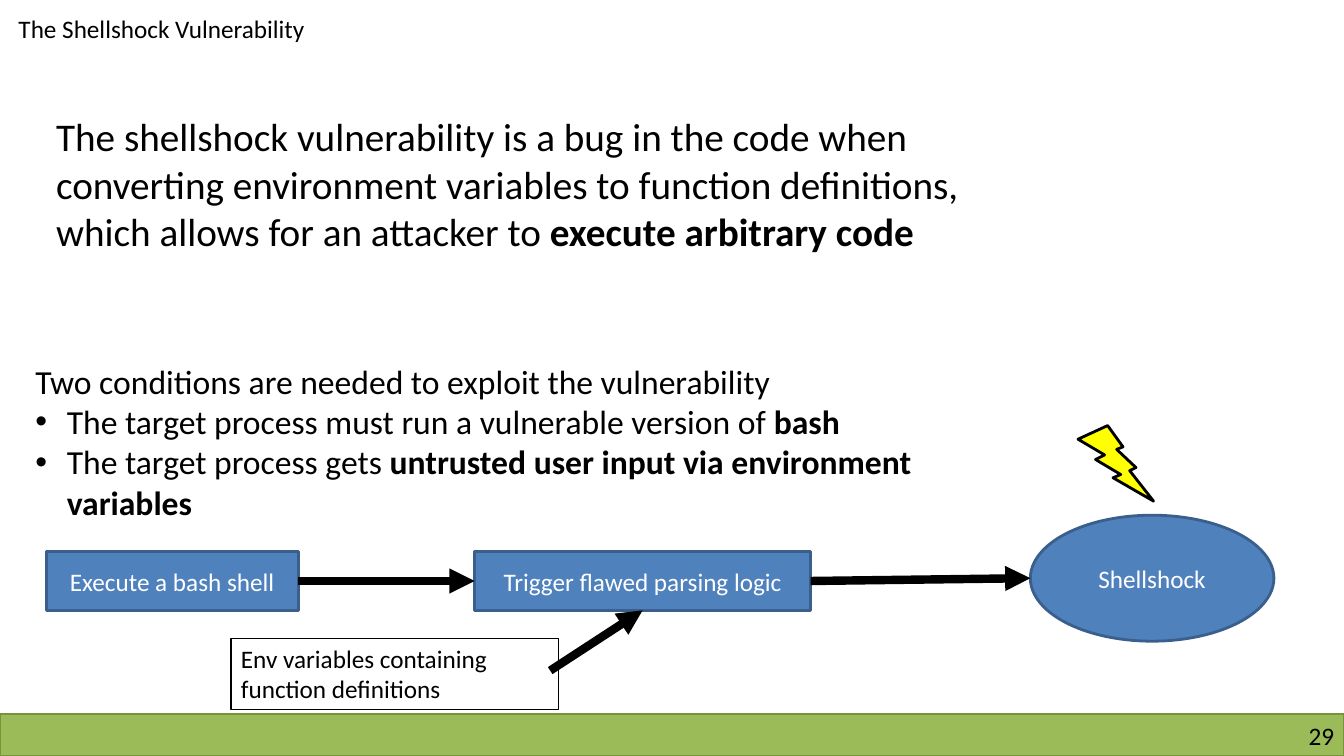
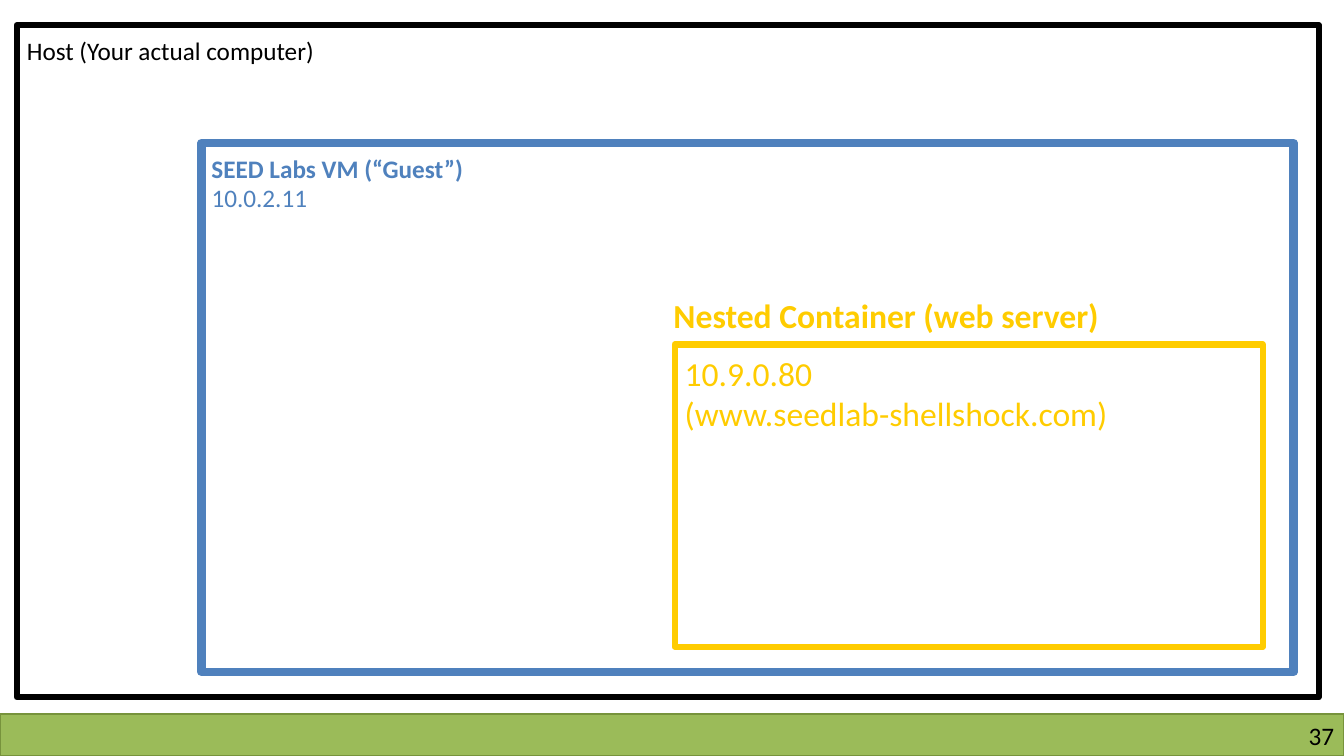
from lxml import etree
from pptx import Presentation
from pptx.dml.color import RGBColor
from pptx.enum import shapes, text
from pptx.oxml import ns
from pptx.util import Pt


class Theme:
    font = "Calibri"
    small, medium, large = 18, 24, 28
    black = RGBColor(0x00, 0x00, 0x00)
    white = RGBColor(0xFF, 0xFF, 0xFF)
    blue = RGBColor(0x4F, 0x81, 0xBD)
    blue_edge = RGBColor(0x3A, 0x5F, 0x8C)
    green = RGBColor(0x9B, 0xBB, 0x59)
    green_edge = RGBColor(0x77, 0x93, 0x3C)
    gold = RGBColor(0xFF, 0xCC, 0x00)
    yellow = RGBColor(0xFF, 0xFF, 0x00)


def write(holder, paragraphs, size=Theme.small, color=Theme.black,
          align=text.PP_ALIGN.LEFT, anchor=text.MSO_ANCHOR.TOP):
    """Fill a shape with paragraphs, each a list of (words, bold) runs."""
    frame = holder.text_frame
    frame.word_wrap = True
    frame.auto_size = text.MSO_AUTO_SIZE.NONE
    frame.vertical_anchor = anchor
    for number, runs in enumerate(paragraphs):
        paragraph = frame.add_paragraph() if number else frame.paragraphs[0]
        paragraph.alignment = align
        paragraph.space_before = Pt(0)
        for words, bold in runs:
            run = paragraph.add_run()
            run.text = words
            run.font.name = Theme.font
            run.font.size = Pt(size)
            run.font.bold = bold
            run.font.color.rgb = color
    return frame


def draw(slide, preset, box, fill, edge, weight):
    shape = slide.shapes.add_shape(preset, *map(Pt, box))
    shape.shadow.inherit = False
    if fill is None:
        shape.fill.background()
    else:
        shape.fill.solid()
        shape.fill.fore_color.rgb = fill
    shape.line.color.rgb = edge
    shape.line.width = Pt(weight)
    return shape


RECTANGLE = shapes.MSO_SHAPE.RECTANGLE
prs = Presentation()
prs.slide_width, prs.slide_height = Pt(960), Pt(540)
bug_slide = prs.slides.add_slide(prs.slide_layouts[1])
lab_slide = prs.slides.add_slide(prs.slide_layouts[5])

# The footer band belongs to the master
band = draw(bug_slide, RECTANGLE, (0, 510, 960, 30), Theme.green, Theme.green_edge, 1)
band.element.nvSpPr.cNvPr.set("id", "100")
prs.slide_master.element.cSld.spTree.append(band.element)

# Titles and page numbers
for slide, heading, title_box, page in (
    (bug_slide, "The Shellshock Vulnerability", (6, 6, 243, 29), "29"),
    (lab_slide, "Host (Your actual computer)", (12, 21.5, 242, 29), "37"),
):
    title = slide.shapes.title
    title.left, title.top, title.width, title.height = map(Pt, title_box)
    write(title, [[(heading, False)]])
    page_number = slide.shapes.add_textbox(Pt(732), Pt(514.5), Pt(221), Pt(22))
    frame = write(page_number, [[(page, False)]], align=text.PP_ALIGN.RIGHT)
    frame.margin_left = frame.margin_right = frame.margin_top = frame.margin_bottom = 0

# Slide 1: definition and conditions
definition = bug_slide.shapes.add_textbox(Pt(33), Pt(77), Pt(678), Pt(143))
write(definition, [[
    ("The shellshock vulnerability is a bug in the code when converting environment "
     "variables to function definitions, which allows for an attacker to ", False),
    ("execute arbitrary code", True),
]], Theme.large)

conditions = bug_slide.placeholders[1]
conditions.left, conditions.top, conditions.width, conditions.height = map(Pt, (18, 254, 690, 124))
frame = write(conditions, [
    [("Two conditions are needed to exploit the vulnerability", False)],
    [("The target process must run a vulnerable version of ", False), ("bash", True)],
    [("The target process gets ", False),
     ("untrusted user input via environment variables", True)],
], Theme.medium)
for number, paragraph in enumerate(frame.paragraphs):
    properties = paragraph._p.get_or_add_pPr()
    indent = Pt(22.5) if number else 0
    properties.set("marL", str(indent))
    properties.set("indent", str(-indent))
    bullet = etree.SubElement(properties, ns.qn("a:buChar" if number else "a:buNone"))
    if number:
        bullet.set("char", "•")

# Slide 1: attack flow
steps = []
for preset, box, label in (
    (RECTANGLE, (33, 394, 180, 42), "Execute a bash shell"),
    (RECTANGLE, (339, 394, 240, 42), "Trigger flawed parsing logic"),
    (shapes.MSO_SHAPE.OVAL, (736, 368, 174, 90), "Shellshock"),
):
    step = draw(bug_slide, preset, box, Theme.blue, Theme.blue_edge, 2)
    write(step, [[(label, False)]], color=Theme.white,
          align=text.PP_ALIGN.CENTER, anchor=text.MSO_ANCHOR.MIDDLE)
    steps.append(step)
execute, trigger, shellshock = steps

draw(bug_slide, shapes.MSO_SHAPE.LIGHTNING_BOLT, (770, 304, 54, 54),
     Theme.yellow, Theme.black, 2)
variables = draw(bug_slide, RECTANGLE, (165, 456, 234, 51), None, Theme.black, 0.75)
write(variables, [[("Env variables containing function definitions", False)]])

for ends, source, target, target_side in (
    ((213, 415, 339, 415), execute, trigger, 1),
    ((579, 415, 736, 413), trigger, None, None),
    ((393, 479, 459, 436), None, trigger, 2),
):
    arrow = bug_slide.shapes.add_connector(shapes.MSO_CONNECTOR.STRAIGHT, *map(Pt, ends))
    if source:
        arrow.begin_connect(source, 3)
    if target:
        arrow.end_connect(target, target_side)
    arrow.line.color.rgb = Theme.black
    arrow.line.width = Pt(6)
    etree.SubElement(arrow.line._get_or_add_ln(), ns.qn("a:tailEnd"), type="triangle")
    etree.SubElement(arrow.element.spPr, ns.qn("a:effectLst"))

# Slide 2: nested machines
for box, color, weight in (
    ((12, 18, 930, 480), Theme.black, 4.5),
    ((144, 102, 780, 378), Theme.blue, 6),
    ((482, 246, 420, 216), Theme.gold, 4.5),
):
    draw(lab_slide, RECTANGLE, box, None, color, weight)

for box, lines, size, color, bold in (
    ((144, 106, 230, 29), ["SEED Labs VM (“Guest”)"], Theme.small, Theme.blue, True),
    ((144, 127, 90, 29), ["10.0.2.11"], Theme.small, Theme.blue, False),
    ((474, 207, 366, 36), ["Nested Container (web server)"], Theme.medium, Theme.gold, True),
    ((482, 248.5, 349, 65), ["10.9.0.80", "(www.seedlab-shellshock.com)"],
     Theme.medium, Theme.gold, False),
):
    machine_label = lab_slide.shapes.add_textbox(*map(Pt, box))
    write(machine_label, [[(line, bold)] for line in lines], size, color)

prs.save("out.pptx")
